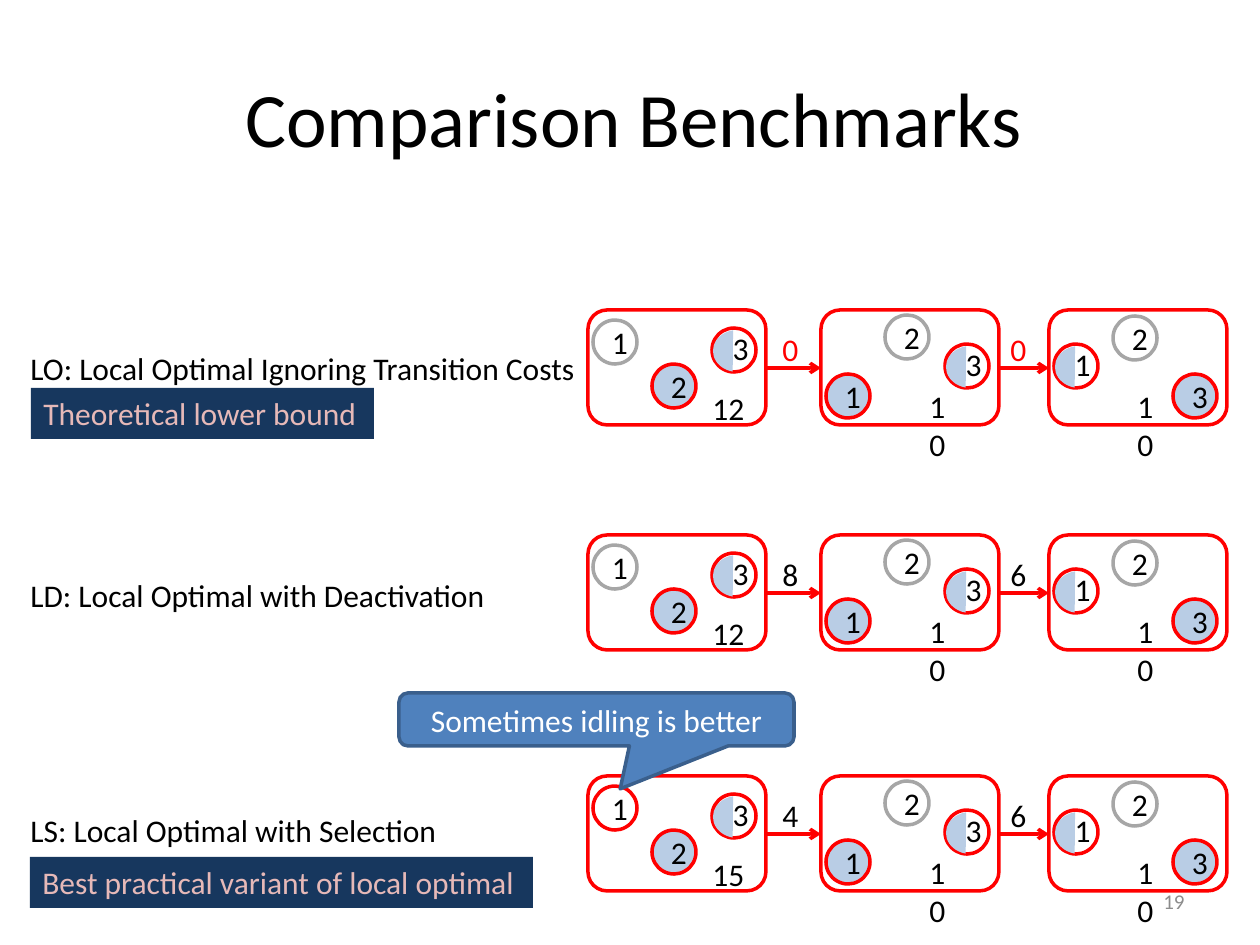
from collections import namedtuple

from lxml import etree
from pptx import Presentation
from pptx.dml.color import RGBColor
from pptx.enum.shapes import MSO_CONNECTOR, MSO_SHAPE
from pptx.enum.text import MSO_ANCHOR, PP_ALIGN
from pptx.oxml.ns import qn
from pptx.util import Pt

ELLIPSE = MSO_SHAPE.OVAL
CHORD = MSO_SHAPE.CHORD
RECTANGLE = MSO_SHAPE.RECTANGLE
ROUNDED = MSO_SHAPE.ROUNDED_RECTANGLE
CALLOUT = MSO_SHAPE.ROUNDED_RECTANGULAR_CALLOUT
STRAIGHT = MSO_CONNECTOR.STRAIGHT
LEFT, CENTER, RIGHT = PP_ALIGN.LEFT, PP_ALIGN.CENTER, PP_ALIGN.RIGHT
TOP, MIDDLE = MSO_ANCHOR.TOP, MSO_ANCHOR.MIDDLE

BLACK = RGBColor(0x00, 0x00, 0x00)
WHITE = RGBColor(0xFF, 0xFF, 0xFF)
RED = RGBColor(0xFF, 0x00, 0x00)
GRAY = RGBColor(0xA6, 0xA6, 0xA6)
NUMBER_GRAY = RGBColor(0x8C, 0x8C, 0x8C)
PALE_BLUE = RGBColor(0xB9, 0xCD, 0xE5)
NAVY = RGBColor(0x17, 0x37, 0x5E)
PINK = RGBColor(0xE6, 0xB9, 0xB8)
BLUE = RGBColor(0x4F, 0x81, 0xBD)
DARK_BLUE = RGBColor(0x3A, 0x5F, 0x8C)

PX_PER_INCH = 126
FONT = "Calibri"
STAGE_WIDTH, STAGE_HEIGHT = 178, 115
NODE_SIZE = 44
TRANSITION_LEFTS = (770, 998)

Node = namedtuple("Node", "name x y state")
Stage = namedtuple("Stage", "left nodes cost_box")
Row = namedtuple("Row", "top first_cost transitions transition_color first_state")

STAGES = (
    Stage(588, (Node("3", 124, 18, "half"), Node("2", 64, 54, "on"),
                Node("1", 5, 10, "off")), (112, 73, 58, 50)),
    Stage(821, (Node("3", 124, 34, "half"), Node("2", 64, 5, "off"),
                Node("1", 5, 64, "on")), (96, 71, 34, 28)),
    Stage(1049, (Node("3", 124, 64, "on"), Node("2", 64, 6, "off"),
                 Node("1", 5, 34, "half")), (76, 71, 34, 28)),
)
ROWS = (
    Row(535, "12", ("8", "6"), BLACK, "off"),
    Row(776, "15", ("4", "6"), BLACK, "idle"),
    Row(310, "12", ("0", "0"), RED, "off"),
)
NODE_STYLES = {
    "on": (PALE_BLUE, RED),
    "half": (WHITE, RED),
    "off": (None, GRAY),
    "idle": (None, RED),
}
LABELS = (
    ("LO: Local Optimal Ignoring Transition Costs", (18, 343, 576, 50)),
    ("LD: Local Optimal with Deactivation", (18, 570, 481, 50)),
    ("LS: Local Optimal with Selection", (18, 805, 437, 50)),
)
BANNERS = (
    ("Theoretical lower bound", (31, 388, 343, 51)),
    ("Best practical variant of local optimal", (30, 857, 503, 51)),
)


def px(length):
    return round(length * 914400 / PX_PER_INCH)


def write_text(shape, text, color, size=18, align=LEFT, anchor=TOP, wrap=True):
    frame = shape.text_frame
    frame.word_wrap = wrap
    frame.vertical_anchor = anchor
    para = frame.paragraphs[0]
    para.alignment = align
    span = para.add_run()
    span.text = text
    span.font.name = FONT
    span.font.size = Pt(size)
    span.font.color.rgb = color


def add_text(shapes, bounds, text, color=BLACK, **style):
    box = shapes.add_textbox(*map(px, bounds))
    write_text(box, text, color, **style)


def add_figure(shapes, kind, bounds, fill=None, line=None, adjustments=()):
    figure = shapes.add_shape(kind, *map(px, bounds))
    figure.shadow.inherit = False
    if fill is None:
        figure.fill.background()
    else:
        figure.fill.solid()
        figure.fill.fore_color.rgb = fill
    if line is None:
        figure.line.fill.background()
    else:
        figure.line.color.rgb = line
        figure.line.width = Pt(2)
    for index, value in enumerate(adjustments):
        figure.adjustments[index] = value
    return figure


def add_arrow(shapes, start, end, y):
    arrow = shapes.add_connector(STRAIGHT, px(start), px(y), px(end), px(y))
    arrow.line.color.rgb = RED
    arrow.line.width = Pt(2)
    tail = etree.SubElement(arrow.line._get_or_add_ln(), qn("a:tailEnd"))
    tail.set("type", "arrow")
    etree.SubElement(arrow._element.spPr, qn("a:effectLst"))


def add_node(shapes, name, x, y, state):
    fill, line = NODE_STYLES[state]
    circle = add_figure(shapes, ELLIPSE, (x, y, NODE_SIZE, NODE_SIZE), fill, line)
    if state == "half":
        add_text(shapes, (x + 9, y - 5, 24, 28), name)
        add_figure(shapes, CHORD, (x + 1, y + 2, 49, 42), PALE_BLUE,
                   adjustments=(61.8, 154.85))
    else:
        write_text(circle, name, BLACK, align=CENTER, anchor=MIDDLE)


def add_stage(shapes, stage, top, cost, first_state):
    for node in stage.nodes:
        is_first = stage is STAGES[0] and node.name == "1"
        state = first_state if is_first else node.state
        add_node(shapes, node.name, stage.left + node.x, top + node.y, state)
    add_figure(shapes, ROUNDED, (stage.left, top, STAGE_WIDTH, STAGE_HEIGHT), line=RED)
    x, y, width, height = stage.cost_box
    add_text(shapes, (stage.left + x, top + y, width, height), cost,
             wrap=stage is not STAGES[0])


def add_row(page, row):
    shapes = page.shapes.add_group_shape().shapes
    for stage, cost in zip(STAGES, (row.first_cost, "10", "10")):
        add_stage(shapes, stage, row.top, cost, row.first_state)
    for before, after in zip(STAGES, STAGES[1:]):
        add_arrow(shapes, before.left + STAGE_WIDTH, after.left, row.top + 58)
    for left, cost in zip(TRANSITION_LEFTS, row.transitions):
        add_text(shapes, (left, row.top + 14, 42, 50), cost,
                 row.transition_color, wrap=False)


def main():
    deck = Presentation()
    deck.slide_width, deck.slide_height = px(1260), px(945)
    page = deck.slides.add_slide(deck.slide_layouts[6])
    shapes = page.shapes
    add_text(shapes, (67, 38, 1134, 157), "Comparison Benchmarks",
             size=44, align=CENTER, anchor=MIDDLE)
    for text, bounds in LABELS:
        add_text(shapes, bounds, text, wrap=False)
    for row in ROWS:
        add_row(page, row)
    add_text(shapes, (903, 876, 294, 50), "19", NUMBER_GRAY,
             size=12, align=RIGHT, anchor=MIDDLE)
    for text, bounds in BANNERS:
        banner = add_figure(shapes, RECTANGLE, bounds, NAVY)
        write_text(banner, text, PINK, wrap=False)
    callout = add_figure(shapes, CALLOUT, (399, 693, 395, 53), BLUE, DARK_BLUE,
                         (0.06, 1.31, 0.17))
    write_text(callout, "Sometimes idling is better", WHITE,
               align=CENTER, anchor=MIDDLE)
    deck.save("out.pptx")


if __name__ == "__main__":
    main()
